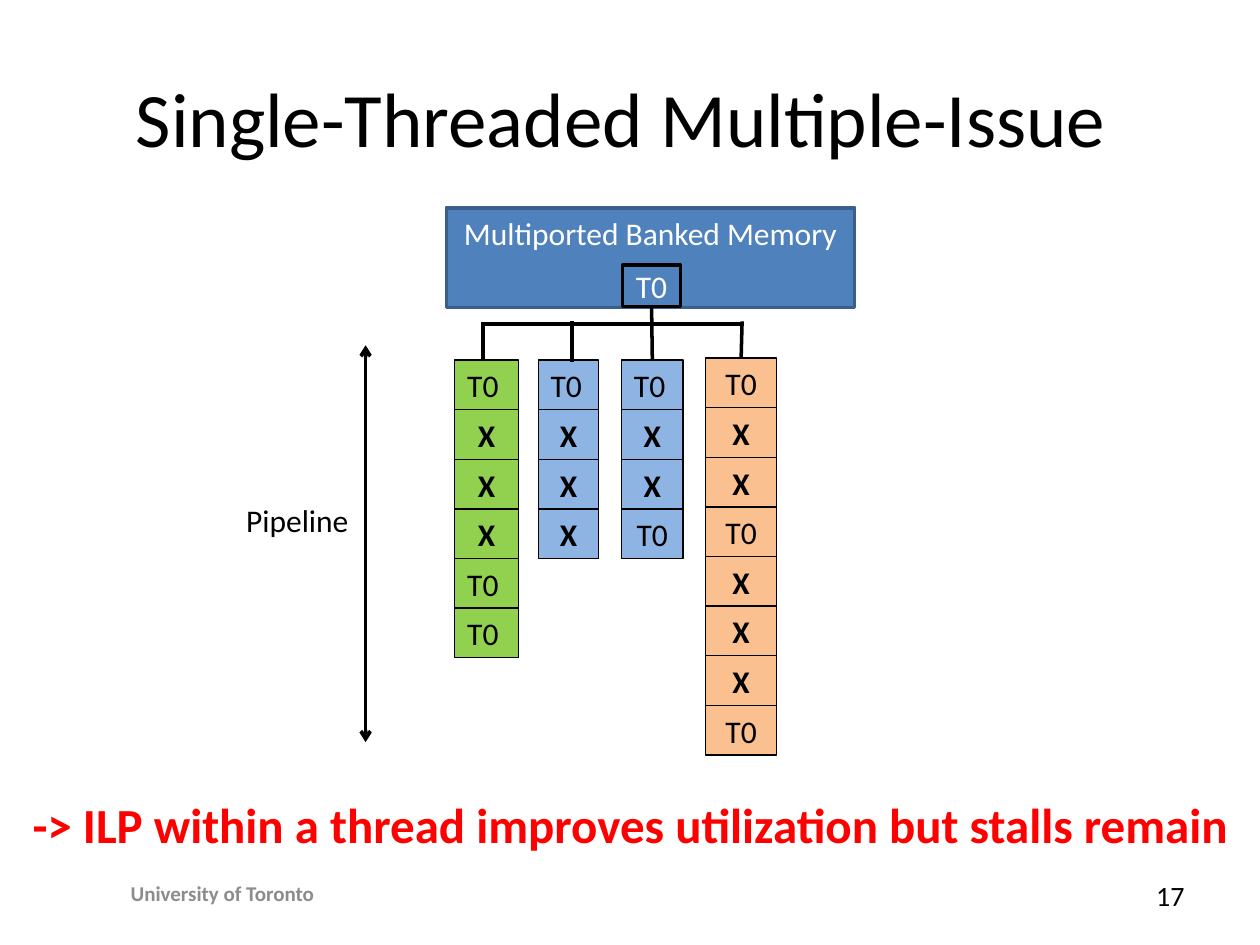
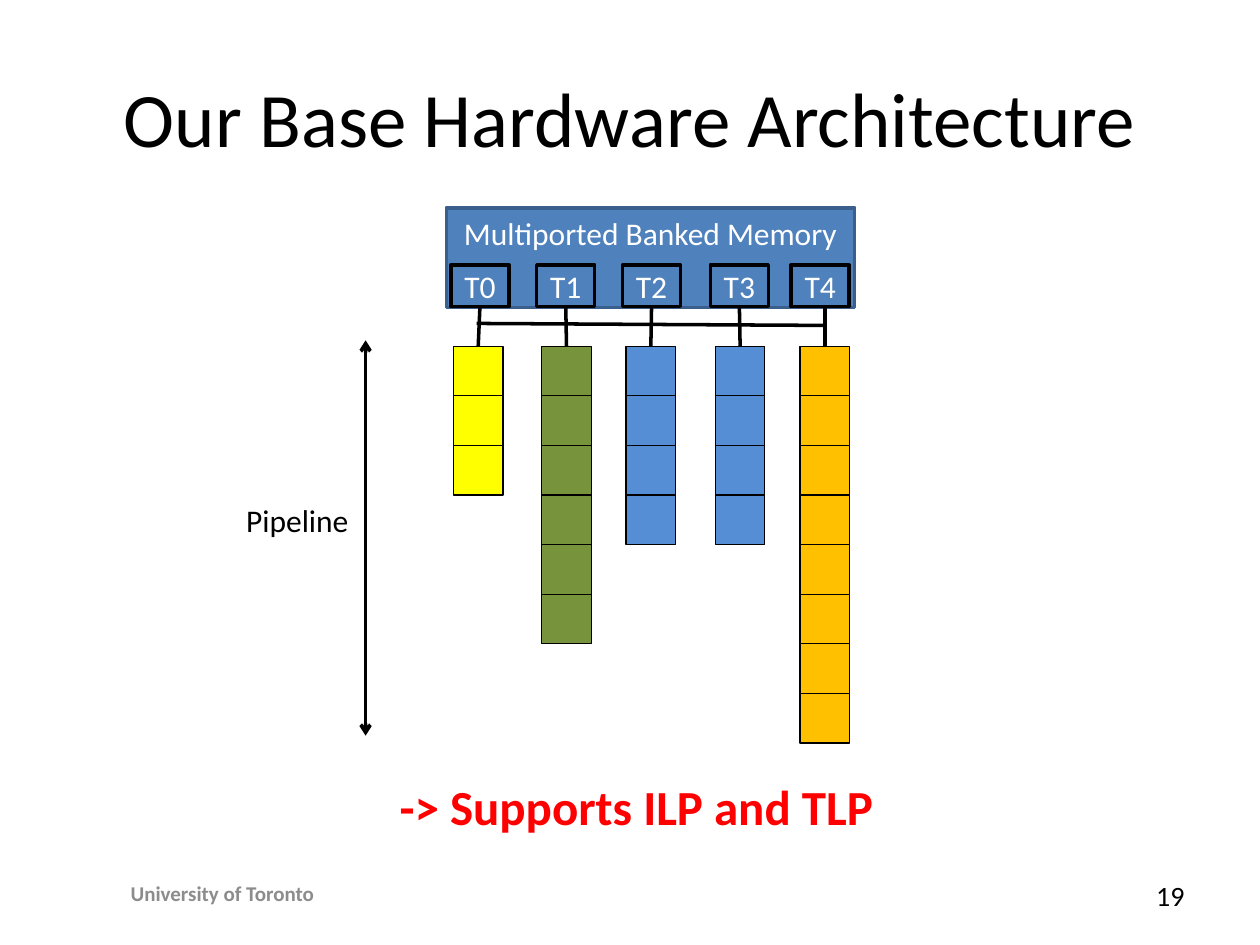
import pptx
import pptx.util
import pptx.dml.color
import pptx.enum.shapes
import pptx.enum.text
import pptx.oxml.ns
import lxml.etree

Cm = pptx.util.Cm
Pt = pptx.util.Pt
RGBColor = pptx.dml.color.RGBColor
ALIGN = pptx.enum.text.PP_ALIGN
ANCHOR = pptx.enum.text.MSO_ANCHOR

# Shared look
FONT = "Calibri"
BLACK = RGBColor(0x00, 0x00, 0x00)
WHITE = RGBColor(0xFF, 0xFF, 0xFF)
GREY = RGBColor(0x8C, 0x8C, 0x8C)
RED = RGBColor(0xFF, 0x00, 0x00)
MEMORY_BLUE = RGBColor(0x4F, 0x81, 0xBD)
MEMORY_EDGE = RGBColor(0x3A, 0x5F, 0x8C)
LIME = RGBColor(0x92, 0xD0, 0x50)
PALE_BLUE = RGBColor(0x8E, 0xB4, 0xE3)
PEACH = RGBColor(0xFA, 0xC0, 0x90)
YELLOW = RGBColor(0xFF, 0xFF, 0x00)
OLIVE = RGBColor(0x77, 0x93, 0x3C)
MID_BLUE = RGBColor(0x55, 0x8E, 0xD5)
AMBER = RGBColor(0xFF, 0xC0, 0x00)

# Shared diagram measures, in centimetres
STAGE_HEIGHT = 1.0
REGISTER_TOP, REGISTER_WIDTH, REGISTER_HEIGHT = 5.34, 1.17, 0.84
REGISTER_BOTTOM = REGISTER_TOP + REGISTER_HEIGHT
ARROW_X = 7.37
JOIN_TOLERANCE = Cm(0.05)


def put_text(shapes, text, at, holder=None, size=18, color=BLACK, bold=False,
             align=ALIGN.CENTER, anchor=ANCHOR.TOP, fill=None, edge=BLACK, edge_width=0.75):
    """Place text in a given holder, a filled rectangle or a plain text box."""
    left, top, width, height = [Cm(length) for length in at]
    if holder is not None:
        holder.left, holder.top, holder.width, holder.height = left, top, width, height
    elif fill is not None:
        holder = shapes.add_shape(pptx.enum.shapes.MSO_SHAPE.RECTANGLE, left, top, width, height)
        holder.shadow.inherit = False
        holder.fill.solid()
        holder.fill.fore_color.rgb = fill
        holder.line.color.rgb = edge
        holder.line.width = Pt(edge_width)
    else:
        holder = shapes.add_textbox(left, top, width, height)
    frame = holder.text_frame
    frame.word_wrap = True
    frame.auto_size = pptx.enum.text.MSO_AUTO_SIZE.NONE
    frame.vertical_anchor = anchor
    if text:
        paragraph = frame.paragraphs[0]
        paragraph.alignment = align
        run = paragraph.add_run()
        run.text = text
        run.font.name, run.font.size, run.font.bold = FONT, Pt(size), bold
        run.font.color.rgb = color
    return holder


def draw_line(shapes, x1, y1, x2, y2, arrows=False):
    line = shapes.add_connector(pptx.enum.shapes.MSO_CONNECTOR.STRAIGHT,
                                Cm(x1), Cm(y1), Cm(x2), Cm(y2))
    line.line.color.rgb = BLACK
    line.line.width = Pt(2)
    if arrows:
        for end in ("a:headEnd", "a:tailEnd"):
            lxml.etree.SubElement(line.line._get_or_add_ln(), pptx.oxml.ns.qn(end), type="arrow")
    lxml.etree.SubElement(line._element.spPr, pptx.oxml.ns.qn("a:effectLst"))
    return line


# Pipelines: left, top, stage width, colour, stage labels
# Wires: x, top, bottom
SLIDES = [
    dict(
        title="Single-Threaded Multiple-Issue ", number="17",
        registers=[("T0", 12.55)],
        pipelines=[
            (9.17, 7.26, 1.28, LIME, ["T0", "X", "X", "X", "T0", "T0"]),
            (10.85, 7.26, 1.22, PALE_BLUE, ["T0", "X", "X", "X"]),
            (12.53, 7.26, 1.24, PALE_BLUE, ["T0", "X", "X", "T0"]),
            (14.23, 7.22, 1.42, PEACH, ["T0", "X", "X", "T0", "X", "X", "X", "T0"]),
        ],
        left_aligned=[(0, 0), (0, 4), (0, 5), (1, 0), (2, 0)],
        wires=[(9.74, 6.5, 7.26), (11.53, 6.48, 7.29),
               (13.14, REGISTER_BOTTOM, 7.26), (14.96, 6.48, 7.29)],
        bus=(9.78, 6.53, 14.96, 6.53), arrow=(6.96, 14.96),
        conclusion="-> ILP within a thread improves utilization but stalls remain",
        conclusion_at=(0, 15.9, 25.4, 1.45),
    ),
    dict(
        title="Our Base Hardware Architecture", number="19",
        registers=[("T0", 9.09), ("T1", 10.82), ("T2", 12.55), ("T3", 14.32), ("T4", 15.95)],
        pipelines=[
            (9.14, 6.98, 1, YELLOW, [""] * 3),
            (10.92, 6.98, 1, OLIVE, [""] * 6),
            (12.62, 6.98, 1, MID_BLUE, [""] * 4),
            (14.42, 6.98, 1, MID_BLUE, [""] * 4),
            (16.13, 6.98, 1, AMBER, [""] * 8),
        ],
        left_aligned=[],
        wires=[(x, REGISTER_BOTTOM, 6.98) for x in (9.63, 11.42, 13.12, 14.93, 16.63)],
        bus=(9.61, 6.52, 16.65, 6.56), arrow=(6.86, 14.83),
        conclusion="-> Supports ILP and TLP",
        conclusion_at=(0.99, 15.52, 23.67, 1.45),
    ),
]

deck = pptx.Presentation()
deck.slide_width, deck.slide_height = Cm(25.4), Cm(19.05)

for content in SLIDES:
    slide = deck.slides.add_slide(deck.slide_layouts[5])
    shapes = slide.shapes

    # Title and footer
    put_text(shapes, content["title"], (1.27, 0.76, 22.86, 3.18), holder=shapes.title,
             size=44, anchor=ANCHOR.MIDDLE)
    put_text(shapes, "University of Toronto", (0.46, 17.5, 8.05, 1.02),
             size=12, color=GREY, bold=True, anchor=ANCHOR.MIDDLE)
    put_text(shapes, content["number"], (18.21, 17.53, 5.92, 1.02),
             size=16, align=ALIGN.RIGHT, anchor=ANCHOR.MIDDLE)

    # Memory with its thread registers
    put_text(shapes, "Multiported Banked Memory", (9, 4.19, 8.23, 2.01),
             color=WHITE, fill=MEMORY_BLUE, edge=MEMORY_EDGE, edge_width=2)
    registers = [
        put_text(shapes, thread, (left, REGISTER_TOP, REGISTER_WIDTH, REGISTER_HEIGHT),
                 color=WHITE, anchor=ANCHOR.MIDDLE, fill=MEMORY_BLUE, edge_width=2)
        for thread, left in content["registers"]
    ]

    # Pipelines, one group of stages each
    first_stages = []
    for column, (left, top, width, color, labels) in enumerate(content["pipelines"]):
        pipeline = shapes.add_group_shape()
        for row, label in enumerate(labels):
            align = ALIGN.LEFT if (column, row) in content["left_aligned"] else ALIGN.CENTER
            stage = put_text(pipeline.shapes, label,
                             (left, top + row * STAGE_HEIGHT, width, STAGE_HEIGHT),
                             bold=label == "X", align=align, fill=color)
            if row == 0:
                first_stages.append(stage)

    # Wires, joined wherever they meet the middle of a side
    for (x, top, bottom), stage in zip(content["wires"], first_stages):
        wire = draw_line(shapes, x, top, x, bottom)
        for register in registers:
            middle = register.left + register.width // 2
            if top == REGISTER_BOTTOM and abs(Cm(x) - middle) <= JOIN_TOLERANCE:
                wire.begin_connect(register, 2)
        if abs(Cm(x) - stage.left - stage.width // 2) <= JOIN_TOLERANCE:
            wire.end_connect(stage, 0)
    draw_line(shapes, *content["bus"])

    # Pipeline extent
    arrow_top, arrow_bottom = content["arrow"]
    draw_line(shapes, ARROW_X, arrow_top, ARROW_X, arrow_bottom, arrows=True)
    put_text(shapes, "Pipeline", (4.6, 9.98, 2.79, 1.02))

    # Conclusion
    put_text(shapes, content["conclusion"], content["conclusion_at"],
             size=28, color=RED, bold=True)

deck.save("out.pptx")
